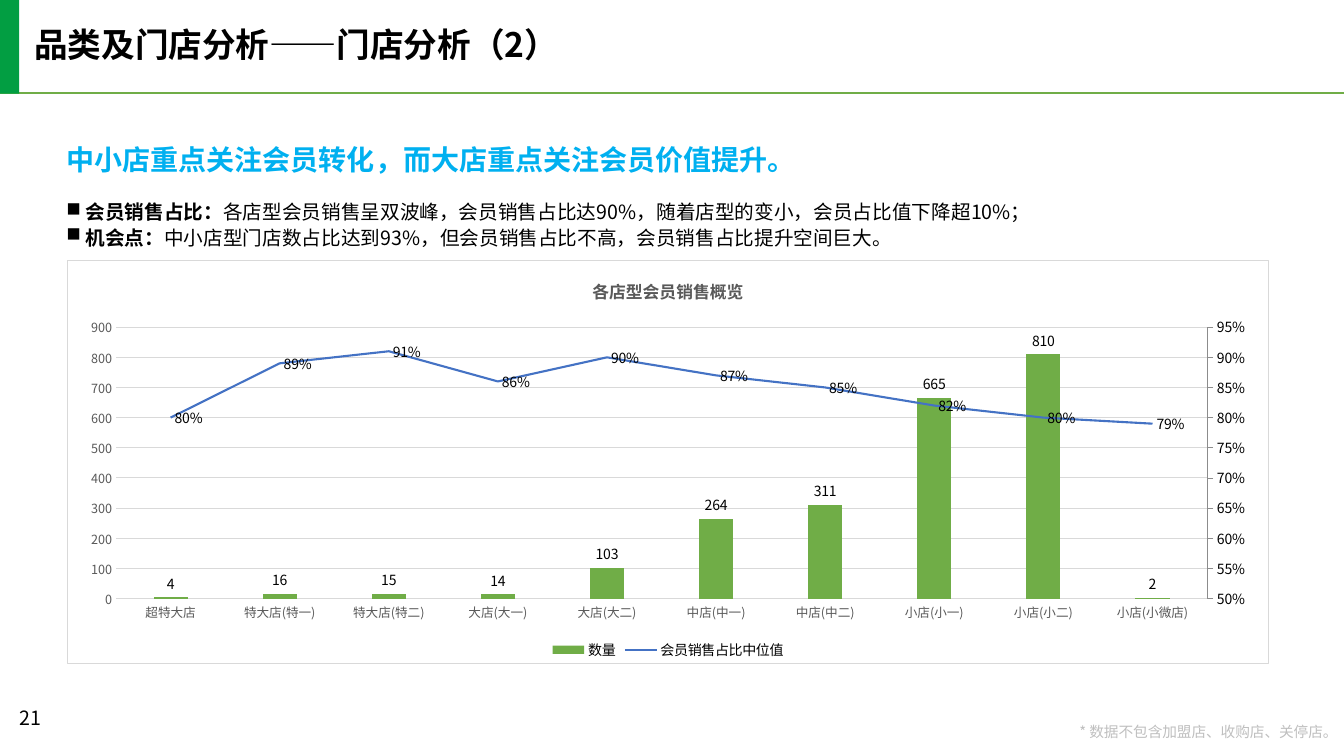
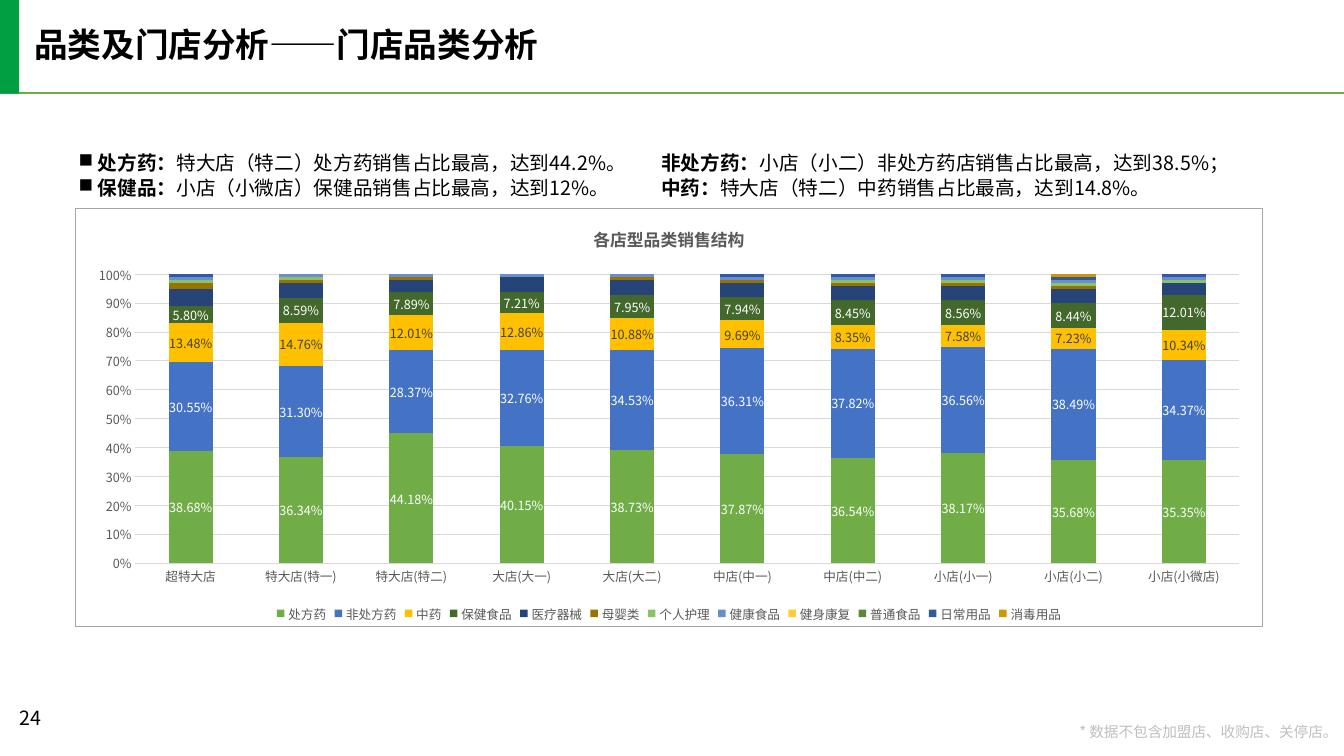
from lxml import etree
from pptx import Presentation
from pptx.chart.axis import ValueAxis
from pptx.chart.data import CategoryChartData
from pptx.dml.color import RGBColor
from pptx.enum.chart import (XL_CHART_TYPE as ChartType, XL_LABEL_POSITION as LabelAt,
                             XL_LEGEND_POSITION as LegendAt, XL_MARKER_STYLE as Marker,
                             XL_TICK_MARK as Tick)
from pptx.enum.shapes import MSO_CONNECTOR, MSO_SHAPE
from pptx.enum.text import MSO_ANCHOR as Anchor, PP_ALIGN as Align
from pptx.oxml import parse_xml
from pptx.oxml.ns import nsdecls, qn
from pptx.util import Inches, Pt

FONT = "Noto Sans CJK SC"
BLACK, WHITE, GREY, PALE = "000000", "FFFFFF", "595959", "D9D9D9"
GREEN, BLUE = "70AD47", "4472C4"

STORES = ["超特大店", "特大店(特一)", "特大店(特二)", "大店(大一)", "大店(大二)",
          "中店(中一)", "中店(中二)", "小店(小一)", "小店(小二)", "小店(小微店)"]
STORE_COUNTS = [4, 16, 15, 14, 103, 264, 311, 665, 810, 2]
MEMBER_SHARES = [0.8, 0.89, 0.91, 0.86, 0.9, 0.87, 0.85, 0.82, 0.8, 0.79]

# name, bar colour, label colour (None for no labels), shares by store in percent
CATEGORY_MIX = [
    ("处方药", GREEN, WHITE, [38.68, 36.34, 44.18, 40.15, 38.73, 37.87, 36.54, 38.17, 35.68, 35.35]),
    ("非处方药", BLUE, WHITE, [30.55, 31.3, 28.37, 32.76, 34.53, 36.31, 37.82, 36.56, 38.49, 34.37]),
    ("中药", "FFC000", "404040", [13.48, 14.76, 12.01, 12.86, 10.88, 9.69, 8.35, 7.58, 7.23, 10.34]),
    ("保健食品", "43682B", WHITE, [5.8, 8.59, 7.89, 7.21, 7.95, 7.94, 8.45, 8.56, 8.44, 12.01]),
    ("医疗器械", "264478", None, [6, 5, 4, 5, 5, 5, 5, 5, 5, 4]),
    ("母婴类", "997300", None, [2, 1, 1, 0, 1, 1, 1, 1, 1, 0]),
    ("个人护理", "8CC168", None, [1, 1, 0, 0, 0, 0, 1, 1, 1, 1]),
    ("健康食品", "698ED0", None, [1] * 10),
    ("健身康复", "FFCD33", None, [0] * 10),
    ("普通食品", "5A8A39", None, [0] * 10),
    ("日常用品", "335AA1", None, [1, 0, 0, 0, 0, 1, 1, 1, 1, 1]),
    ("消毒用品", "CC9A00", None, [0, 0, 0, 0, 0, 0, 0, 0, 1, 0]),
]

SECOND_AXES = """
<c:plotArea %s>
  <c:lineChart><c:grouping val="standard"/><c:varyColors val="0"/>
    <c:marker val="1"/><c:axId val="501"/><c:axId val="502"/></c:lineChart>
  <c:catAx><c:axId val="501"/><c:scaling/><c:delete val="1"/><c:axPos val="b"/>
    <c:crossAx val="502"/></c:catAx>
  <c:valAx><c:axId val="502"/><c:scaling/><c:delete val="0"/><c:axPos val="r"/>
    <c:tickLblPos val="nextTo"/><c:crossAx val="501"/><c:crosses val="max"/></c:valAx>
</c:plotArea>""" % nsdecls("c")


def rgb(code):
    return RGBColor.from_string(code)


def set_font(font, size, color, bold=False):
    font.name, font.size, font.bold = FONT, Pt(size), bold
    font.color.rgb = rgb(color)


def set_east_asian(root):
    """Give every text style the same font for Chinese glyphs."""
    for latin in list(root.iter(qn("a:latin"))):
        east = etree.Element(qn("a:ea"))
        east.set("typeface", FONT)
        latin.addnext(east)


def set_line(line, color, width):
    line.color.rgb = rgb(color)
    line.width = Pt(width)


def fill_solid(fill, color):
    fill.solid()
    fill.fore_color.rgb = rgb(color)


def style_value_axis(axis, size, color, number_format, tick=Tick.NONE):
    axis.major_tick_mark, axis.minor_tick_mark = tick, Tick.NONE
    labels = axis.tick_labels
    set_font(labels.font, size, color)
    labels.number_format, labels.number_format_is_linked = number_format, False


def label_series(series, position, size, color, number_format):
    labels = series.data_labels
    labels.show_value, labels.position = True, position
    labels.number_format, labels.number_format_is_linked = number_format, False
    set_font(labels.font, size, color)


def move_last_to_line(chart):
    """Draw the last series as a line on a right-hand axis; return both."""
    plot_area = chart.element.find(qn("c:chart")).find(qn("c:plotArea"))
    line_chart, hidden_axis, right_axis = list(parse_xml(SECOND_AXES))
    bar_chart = plot_area.find(qn("c:barChart"))
    series = bar_chart.findall(qn("c:ser"))[-1]
    for bar_only in series.findall(qn("c:invertIfNegative")):
        series.remove(bar_only)
    line_chart.find(qn("c:marker")).addprevious(series)
    bar_chart.addnext(line_chart)
    value_axis = plot_area.find(qn("c:valAx"))
    value_axis.addnext(right_axis)
    right_axis.addnext(hidden_axis)
    return chart.plots[1].series[0], ValueAxis(right_axis)


class Report:
    def __init__(self):
        self.deck = Presentation()
        self.deck.slide_width, self.deck.slide_height = Inches(13.33), Inches(7.5)
        self.page = None

    def add_page(self, title, number):
        self.page = self.deck.slides.add_slide(self.deck.slide_layouts[6])
        rule = self.page.shapes.add_connector(
            MSO_CONNECTOR.STRAIGHT, 0, Inches(0.92), Inches(13.33), Inches(0.92))
        set_line(rule.line, GREEN, 1.5)
        etree.SubElement(rule.element.spPr, qn("a:effectLst"))
        band = self.page.shapes.add_shape(
            MSO_SHAPE.RECTANGLE, 0, Inches(-0.01), Inches(0.19), Inches(0.94))
        band.shadow.inherit = False
        fill_solid(band.fill, "029E42")
        band.line.fill.background()
        self.text(0.34, 0.28, 6.29, 0.36, title, 24, bold=True, spacing=0.9)
        self.text(10.66, 7.19, 2.61, 0.16, "* 数据不包含加盟店、收购店、关停店。", 10.5,
                  "BFBFBF", spacing=0.9, align=Align.RIGHT, wrap=False)
        self.text(0.19, 7, 0.71, 0.3, number, 14)

    def box(self, left, top, width, height, anchor=Anchor.TOP, wrap=True):
        """Add an empty text frame without margins."""
        frame = self.page.shapes.add_textbox(
            Inches(left), Inches(top), Inches(width), Inches(height)).text_frame
        frame.margin_left = frame.margin_right = frame.margin_top = frame.margin_bottom = 0
        frame.word_wrap, frame.vertical_anchor = wrap, anchor
        return frame

    def span(self, para, text, size, color=BLACK, bold=False):
        span = para.add_run()
        span.text = text
        set_font(span.font, size, color, bold)

    def text(self, left, top, width, height, text, size, color=BLACK, bold=False,
             spacing=1.0, align=Align.LEFT, anchor=Anchor.TOP, wrap=True):
        para = self.box(left, top, width, height, anchor, wrap).paragraphs[0]
        para.alignment, para.line_spacing = align, spacing
        self.span(para, text, size, color, bold)

    def bullets(self, left, top, rows, tab=5.78):
        """Each row lists (heading, sentence) pairs, set apart by a tab."""
        frame = self.box(left, top, 11.6, 0.5, Anchor.MIDDLE)
        for index, row in enumerate(rows):
            para = frame.add_paragraph() if index else frame.paragraphs[0]
            para.line_spacing = Pt(18)
            props = para._p.get_or_add_pPr()
            props.set("marL", str(Inches(0.19)))
            props.set("indent", str(Inches(-0.19)))
            etree.SubElement(props, qn("a:buChar")).set("char", "■")
            if len(row) > 1:
                stop = etree.SubElement(etree.SubElement(props, qn("a:tabLst")), qn("a:tab"))
                stop.set("pos", str(Inches(tab)))
                stop.set("algn", "l")
            for column, (heading, sentence) in enumerate(row):
                self.span(para, "\t" * (column > 0) + heading, 14, bold=True)
                self.span(para, sentence, 14)

    def chart(self, kind, left, top, width, height, title, series, border,
              gap, value_format, legend_size, legend_color):
        data = CategoryChartData()
        data.categories = STORES
        for name, values in series:
            data.add_series(name, values)
        chart = self.page.shapes.add_chart(
            kind, Inches(left), Inches(top), Inches(width), Inches(height), data).chart
        set_font(chart.font, 10, BLACK)
        frame = parse_xml(
            f'<c:spPr {nsdecls("c", "a")}><a:solidFill><a:srgbClr val="{WHITE}"/></a:solidFill>'
            f'<a:ln w="{Pt(0.75)}"><a:solidFill><a:srgbClr val="{border}"/></a:solidFill></a:ln>'
            '</c:spPr>')
        chart.element.find(qn("c:txPr")).addprevious(frame)

        chart.has_title = True
        self.span(chart.chart_title.text_frame.paragraphs[0], title, 12, GREY, True)
        chart.has_legend = True
        chart.legend.position, chart.legend.include_in_layout = LegendAt.BOTTOM, False
        set_font(chart.legend.font, legend_size, legend_color)

        stores, values = chart.category_axis, chart.value_axis
        stores.major_tick_mark = stores.minor_tick_mark = Tick.NONE
        set_font(stores.tick_labels.font, 9, GREY)
        set_line(stores.format.line, PALE, 0.75)
        style_value_axis(values, 9, GREY, value_format)
        values.format.line.fill.background()
        values.has_major_gridlines = True
        set_line(values.major_gridlines.format.line, PALE, 0.75)
        chart.plots[0].gap_width, chart.plots[0].vary_by_categories = gap, False
        return chart

    def save(self):
        for page in self.deck.slides:
            set_east_asian(page.element)
            for shape in page.shapes:
                if shape.has_chart:
                    set_east_asian(shape.chart.element)
        self.deck.save("out.pptx")


def add_store_page(report):
    report.add_page("品类及门店分析——门店分析（2）", "21")
    chart = report.chart(
        ChartType.COLUMN_CLUSTERED, 0.66, 2.58, 11.93, 4.01, "各店型会员销售概览",
        [("数量", STORE_COUNTS), ("会员销售占比中位值", MEMBER_SHARES)],
        PALE, 219, "General", 10, BLACK)
    chart.value_axis.minimum_scale, chart.value_axis.maximum_scale = 0, 900
    share, right_axis = move_last_to_line(chart)
    share.smooth, share.marker.style = False, Marker.NONE
    set_line(share.format.line, BLUE, 1.5)
    label_series(share, LabelAt.RIGHT, 10, BLACK, "0%")
    right_axis.minimum_scale, right_axis.maximum_scale = 0.5, 0.95
    right_axis.major_unit = 0.05
    style_value_axis(right_axis, 10, BLACK, "0%", Tick.OUTSIDE)
    set_line(right_axis.format.line, "8C8C8C", 0.5)
    count = chart.plots[0].series[0]
    fill_solid(count.format.fill, GREEN)
    label_series(count, LabelAt.OUTSIDE_END, 10, BLACK, "General")

    report.bullets(0.66, 1.97, [
        [("会员销售占比：",
          "各店型会员销售呈双波峰，会员销售占比达90%，随着店型的变小，会员占比值下降超10%；")],
        [("机会点：", "中小店型门店数占比达到93%，但会员销售占比不高，会员销售占比提升空间巨大。")],
    ])
    report.text(0.66, 1.49, 12.06, 0.26, "中小店重点关注会员转化，而大店重点关注会员价值提升。",
                20, "00B0F0", bold=True, spacing=Pt(18), anchor=Anchor.MIDDLE)


def add_category_page(report):
    report.add_page("品类及门店分析——门店品类分析", "24")
    chart = report.chart(
        ChartType.COLUMN_STACKED_100, 0.74, 2.06, 11.79, 4.16, "各店型品类销售结构",
        [(name, [round(value / 100, 4) for value in values])
         for name, _, _, values in CATEGORY_MIX],
        "A6A6A6", 150, "0%", 9, GREY)
    chart.plots[0].overlap = 100
    for series, (_, color, label_color, _) in zip(chart.plots[0].series, CATEGORY_MIX):
        fill_solid(series.format.fill, color)
        if label_color:
            label_series(series, LabelAt.CENTER, 9, label_color, "0.00%")

    report.bullets(0.78, 1.48, [
        [("处方药：", "特大店（特二）处方药销售占比最高，达到44.2%。"),
         ("非处方药：", "小店（小二）非处方药店销售占比最高，达到38.5%；")],
        [("保健品：", "小店（小微店）保健品销售占比最高，达到12%。"),
         ("中药：", "特大店（特二）中药销售占比最高，达到14.8%。")],
    ])


def main():
    report = Report()
    add_store_page(report)
    add_category_page(report)
    report.save()


if __name__ == "__main__":
    main()
